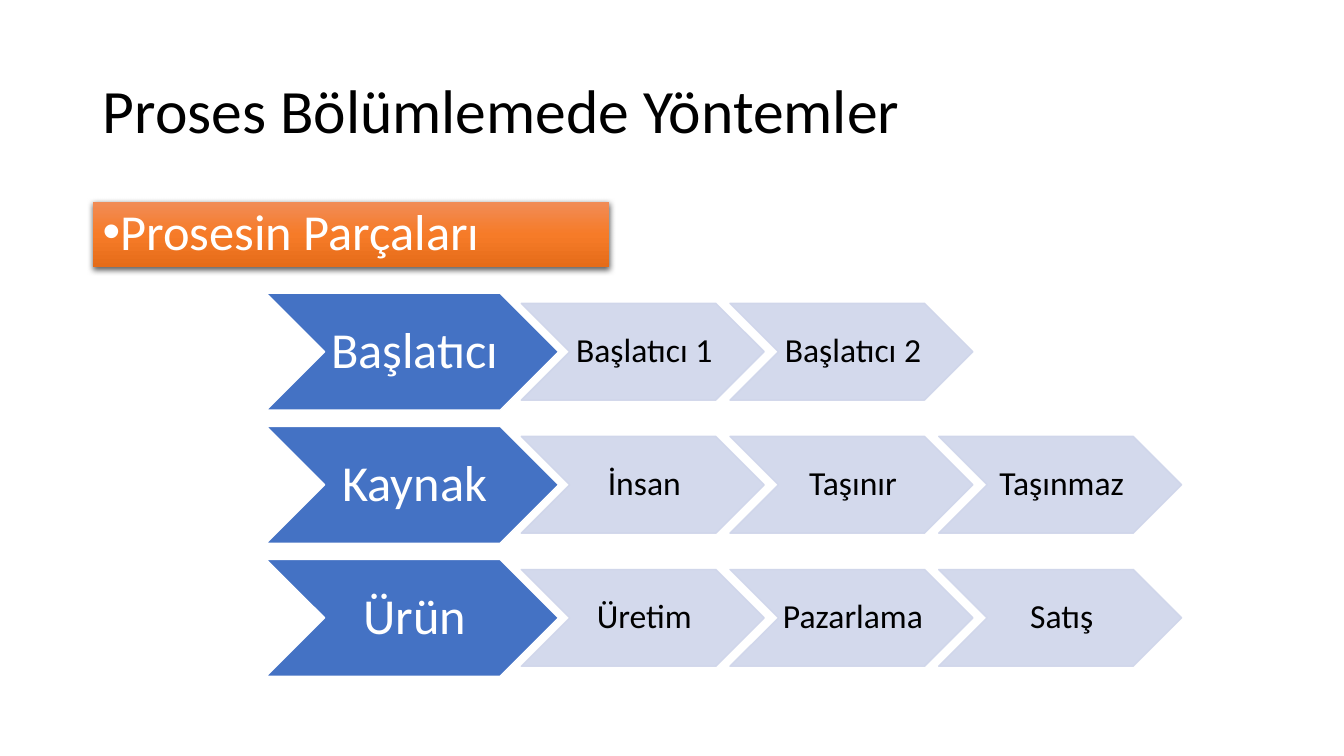
from dataclasses import dataclass

from lxml import etree
from pptx import Presentation
from pptx.dml.color import RGBColor
from pptx.enum.shapes import MSO_SHAPE
from pptx.enum.text import MSO_ANCHOR, MSO_AUTO_SIZE, PP_ALIGN
from pptx.oxml.ns import qn
from pptx.shapes.autoshape import Shape
from pptx.slide import Slide
from pptx.text.text import _Paragraph
from pptx.util import Inches, Pt

CHEVRON, RECTANGLE = MSO_SHAPE.CHEVRON, MSO_SHAPE.RECTANGLE
MIDDLE, TOP = MSO_ANCHOR.MIDDLE, MSO_ANCHOR.TOP
LEFT, CENTER = PP_ALIGN.LEFT, PP_ALIGN.CENTER
GROW = MSO_AUTO_SIZE.SHAPE_TO_FIT_TEXT

BLACK = RGBColor(0x00, 0x00, 0x00)
WHITE = RGBColor(0xFF, 0xFF, 0xFF)
BLUE = RGBColor(0x44, 0x72, 0xC4)
PALE_BLUE = RGBColor(0xCF, 0xD5, 0xEA)
ORANGE_STOPS = (
    (0, RGBColor(0xF1, 0x8C, 0x57)),
    (50, RGBColor(0xF6, 0x7B, 0x28)),
    (100, RGBColor(0xE5, 0x6C, 0x19)),
)
FONT = "Calibri"

ROWS_TOP = 2.91
ROW_PITCH = 1.32
PART_LEFT = 2.64
EXAMPLE_LEFT = 5.17
EXAMPLE_PITCH = 2.07


@dataclass(frozen=True)
class ProcessPart:
    name: str
    examples: tuple[str, ...]


@dataclass(frozen=True)
class ChevronStyle:
    width: float
    height: float
    fill: RGBColor
    line: RGBColor
    text: RGBColor
    size: int
    inset_left: float
    opacity: int


PART_STYLE = ChevronStyle(2.9, 1.16, BLUE, WHITE, WHITE, 36, 0.05, 100)
EXAMPLE_STYLE = ChevronStyle(2.41, 0.96, PALE_BLUE, PALE_BLUE, BLACK, 24, 0.03, 90)

PROCESS_PARTS = (
    ProcessPart("Başlatıcı", ("Başlatıcı 1", "Başlatıcı 2")),
    ProcessPart("Kaynak", ("İnsan", "Taşınır", "Taşınmaz")),
    ProcessPart("Ürün", ("Üretim", "Pazarlama", "Satış")),
)


def format_paragraph(
    paragraph: _Paragraph, size: int, color: RGBColor, alignment: PP_ALIGN
) -> None:
    paragraph.alignment = alignment
    paragraph.line_spacing = 0.9
    for run in paragraph.runs:
        run.font.name = FONT
        run.font.size = Pt(size)
        run.font.color.rgb = color


def add_color(parent: etree._Element, color: RGBColor, opacity: int = 100) -> None:
    element = etree.SubElement(parent, qn("a:srgbClr"), val=str(color))
    if opacity < 100:
        etree.SubElement(element, qn("a:alpha"), val=str(opacity * 1000))


def add_title(slide: Slide, wording: str) -> None:
    title = slide.shapes.title
    title.left, title.top = Inches(0.92), Inches(0.4)
    title.width, title.height = Inches(11.5), Inches(1.45)
    title.text_frame.text = wording
    title.text_frame.vertical_anchor = MIDDLE
    format_paragraph(title.text_frame.paragraphs[0], 44, BLACK, LEFT)


def style_banner(banner: Shape) -> None:
    banner.fill.gradient()
    banner.fill.gradient_angle = 270
    banner.line.fill.background()
    banner.shadow.inherit = False
    properties = banner.element.spPr
    stops = properties.find(".//" + qn("a:gsLst"))
    for old_stop in list(stops):
        stops.remove(old_stop)
    for position, color in ORANGE_STOPS:
        stop = etree.SubElement(stops, qn("a:gs"), pos=str(position * 1000))
        add_color(stop, color)
    shadow = etree.SubElement(
        properties.find(qn("a:effectLst")),
        qn("a:outerShdw"),
        blurRad=str(Pt(4.5)),
        dist=str(Pt(1.5)),
        dir="5400000",
        algn="ctr",
        rotWithShape="0",
    )
    add_color(shadow, BLACK, 63)


def add_banner(slide: Slide, wording: str) -> None:
    banner = slide.shapes.add_shape(
        RECTANGLE, Inches(0.92), Inches(2), Inches(5.12), Inches(0.65)
    )
    style_banner(banner)
    frame = banner.text_frame
    frame.text = wording
    frame.word_wrap = True
    frame.auto_size = GROW
    frame.vertical_anchor = TOP
    paragraph = frame.paragraphs[0]
    properties = paragraph._p.get_or_add_pPr()
    properties.set("marL", "0")
    properties.set("indent", str(-Inches(0.25)))
    etree.SubElement(properties, qn("a:buFont"), typeface="Arial")
    etree.SubElement(properties, qn("a:buChar"), char="•")
    format_paragraph(paragraph, 36, WHITE, LEFT)


def add_chevron(
    slide: Slide, wording: str, left: float, middle: float, style: ChevronStyle
) -> None:
    chevron = slide.shapes.add_shape(
        CHEVRON,
        Inches(left),
        Inches(middle - style.height / 2),
        Inches(style.width),
        Inches(style.height),
    )
    chevron.shadow.inherit = False
    chevron.fill.solid()
    chevron.fill.fore_color.rgb = style.fill
    chevron.line.color.rgb = style.line
    chevron.line.width = Pt(1)
    if style.opacity < 100:
        for color in chevron.element.spPr.iter(qn("a:srgbClr")):
            etree.SubElement(color, qn("a:alpha"), val=str(style.opacity * 1000))
    frame = chevron.text_frame
    frame.text = wording
    frame.word_wrap = False
    frame.vertical_anchor = MIDDLE
    frame.margin_left, frame.margin_right = Inches(style.inset_left), Inches(0)
    frame.margin_top = frame.margin_bottom = Inches(0.03)
    format_paragraph(frame.paragraphs[0], style.size, style.text, CENTER)


def add_process_part(slide: Slide, part: ProcessPart, row: int) -> None:
    middle = ROWS_TOP + row * ROW_PITCH + PART_STYLE.height / 2
    add_chevron(slide, part.name, PART_LEFT, middle, PART_STYLE)
    for column, example in enumerate(part.examples):
        left = EXAMPLE_LEFT + column * EXAMPLE_PITCH
        add_chevron(slide, example, left, middle, EXAMPLE_STYLE)


def main() -> None:
    presentation = Presentation()
    presentation.slide_width = Inches(13.33)
    presentation.slide_height = Inches(7.5)
    slide = presentation.slides.add_slide(presentation.slide_layouts[5])
    add_title(slide, "Proses Bölümlemede Yöntemler")
    add_banner(slide, "Prosesin Parçaları")
    for row, part in enumerate(PROCESS_PARTS):
        add_process_part(slide, part, row)
    presentation.save("out.pptx")


if __name__ == "__main__":
    main()
